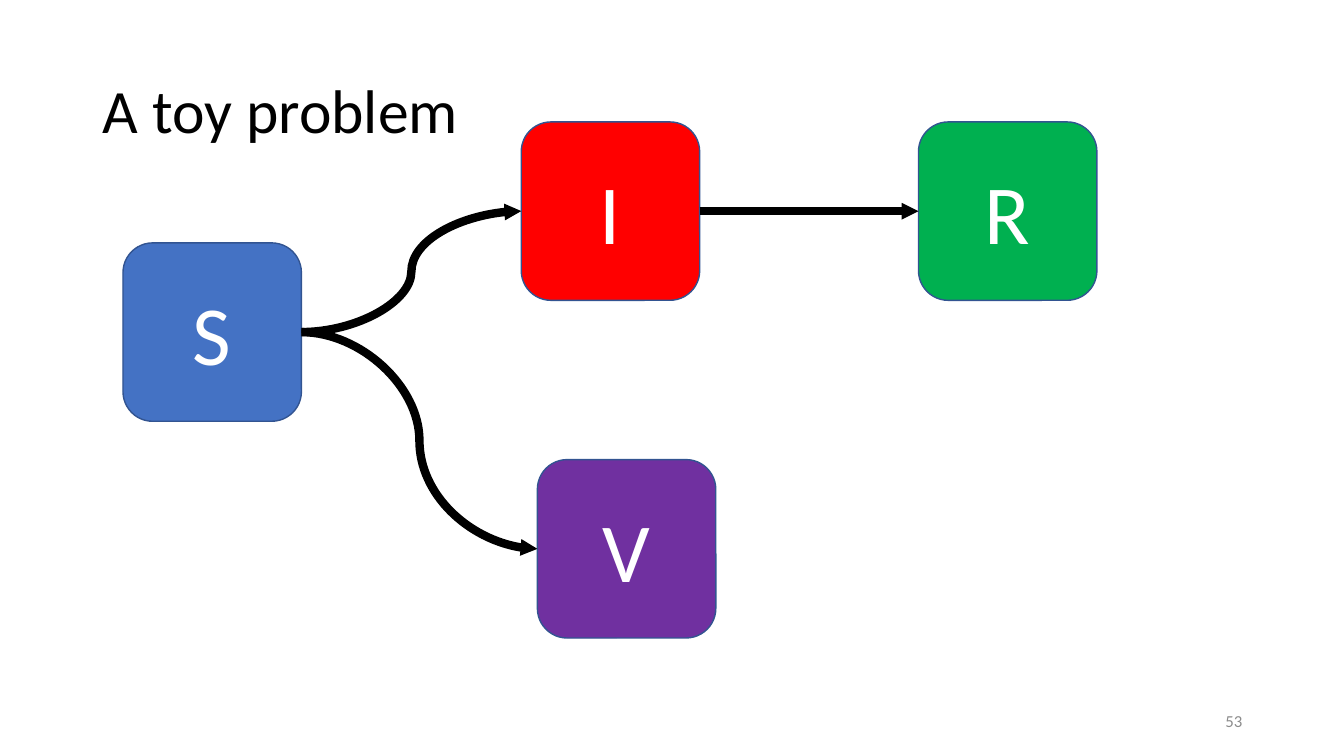
from dataclasses import dataclass

from lxml.etree import SubElement
from pptx import Presentation
from pptx.dml.color import RGBColor
from pptx.enum.shapes import MSO_CONNECTOR, MSO_SHAPE
from pptx.enum.text import MSO_ANCHOR, PP_ALIGN
from pptx.oxml.ns import qn
from pptx.shapes.autoshape import Shape
from pptx.slide import Slide
from pptx.text.text import TextFrame
from pptx.util import Inches, Pt


@dataclass(frozen=True)
class Theme:
    font: str = "Calibri"
    title_size: int = 44
    state_size: int = 60
    number_size: int = 12
    text: str = "000000"
    state_text: str = "FFFFFF"
    muted: str = "8C8C8C"
    outline: str = "325491"
    arrow: str = "000000"
    outline_width: float = 1
    arrow_width: float = 6


@dataclass(frozen=True)
class State:
    label: str
    left: float
    top: float
    fill: str


@dataclass(frozen=True)
class Transition:
    source: str
    target: str
    kind: MSO_CONNECTOR


THEME = Theme()
STATE_SIDE = 1.77
LEFT_SITE, RIGHT_SITE = 1, 3

STATES = [
    State("S", 1.22, 2.41, "4472C4"),
    State("I", 5.17, 1.21, "FF0000"),
    State("R", 9.11, 1.21, "00B050"),
    State("V", 5.33, 4.56, "7030A0"),
]
TRANSITIONS = [
    Transition("S", "I", MSO_CONNECTOR.CURVE),
    Transition("S", "V", MSO_CONNECTOR.CURVE),
    Transition("I", "R", MSO_CONNECTOR.STRAIGHT),
]


def set_text(tf: TextFrame, text: str, size: int, color: str, align: PP_ALIGN) -> None:
    tf.text = text
    tf.word_wrap = True
    tf.vertical_anchor = MSO_ANCHOR.MIDDLE
    p = tf.paragraphs[0]
    p.alignment = align
    p.font.name = THEME.font
    p.font.size = Pt(size)
    p.font.color.rgb = RGBColor.from_string(color)


def add_title(slide: Slide, text: str) -> None:
    title = slide.shapes.title
    title.left, title.top = Inches(0.92), Inches(0.4)
    title.width, title.height = Inches(11.5), Inches(1.45)
    set_text(title.text_frame, text, THEME.title_size, THEME.text, PP_ALIGN.LEFT)
    title.text_frame.paragraphs[0].line_spacing = 0.9


def add_number(slide: Slide, number: int) -> None:
    box = slide.shapes.add_textbox(Inches(9.42), Inches(6.95), Inches(3), Inches(0.4))
    set_text(box.text_frame, str(number), THEME.number_size, THEME.muted, PP_ALIGN.RIGHT)


def add_state(slide: Slide, state: State) -> Shape:
    side = Inches(STATE_SIDE)
    sp = slide.shapes.add_shape(
        MSO_SHAPE.ROUNDED_RECTANGLE, Inches(state.left), Inches(state.top), side, side
    )
    sp.shadow.inherit = False
    sp.fill.solid()
    sp.fill.fore_color.rgb = RGBColor.from_string(state.fill)
    sp.line.color.rgb = RGBColor.from_string(THEME.outline)
    sp.line.width = Pt(THEME.outline_width)
    set_text(sp.text_frame, state.label, THEME.state_size, THEME.state_text, PP_ALIGN.CENTER)
    return sp


def add_transition(slide: Slide, kind: MSO_CONNECTOR, source: Shape, target: Shape) -> None:
    line = slide.shapes.add_connector(kind, 0, 0, 0, 0)
    line.begin_connect(source, RIGHT_SITE)
    line.end_connect(target, LEFT_SITE)
    line.line.color.rgb = RGBColor.from_string(THEME.arrow)
    line.line.width = Pt(THEME.arrow_width)
    properties = line._element.spPr
    SubElement(properties.find(qn("a:ln")), qn("a:tailEnd"), type="triangle", w="sm", len="sm")
    SubElement(properties, qn("a:effectLst"))


def main() -> None:
    prs = Presentation()
    prs.slide_width, prs.slide_height = Inches(13.33), Inches(7.5)
    slide = prs.slides.add_slide(prs.slide_layouts[5])
    add_title(slide, "A toy problem")
    add_number(slide, 53)
    shapes = {state.label: add_state(slide, state) for state in STATES}
    for move in TRANSITIONS:
        add_transition(slide, move.kind, shapes[move.source], shapes[move.target])
    prs.save("out.pptx")


if __name__ == "__main__":
    main()
